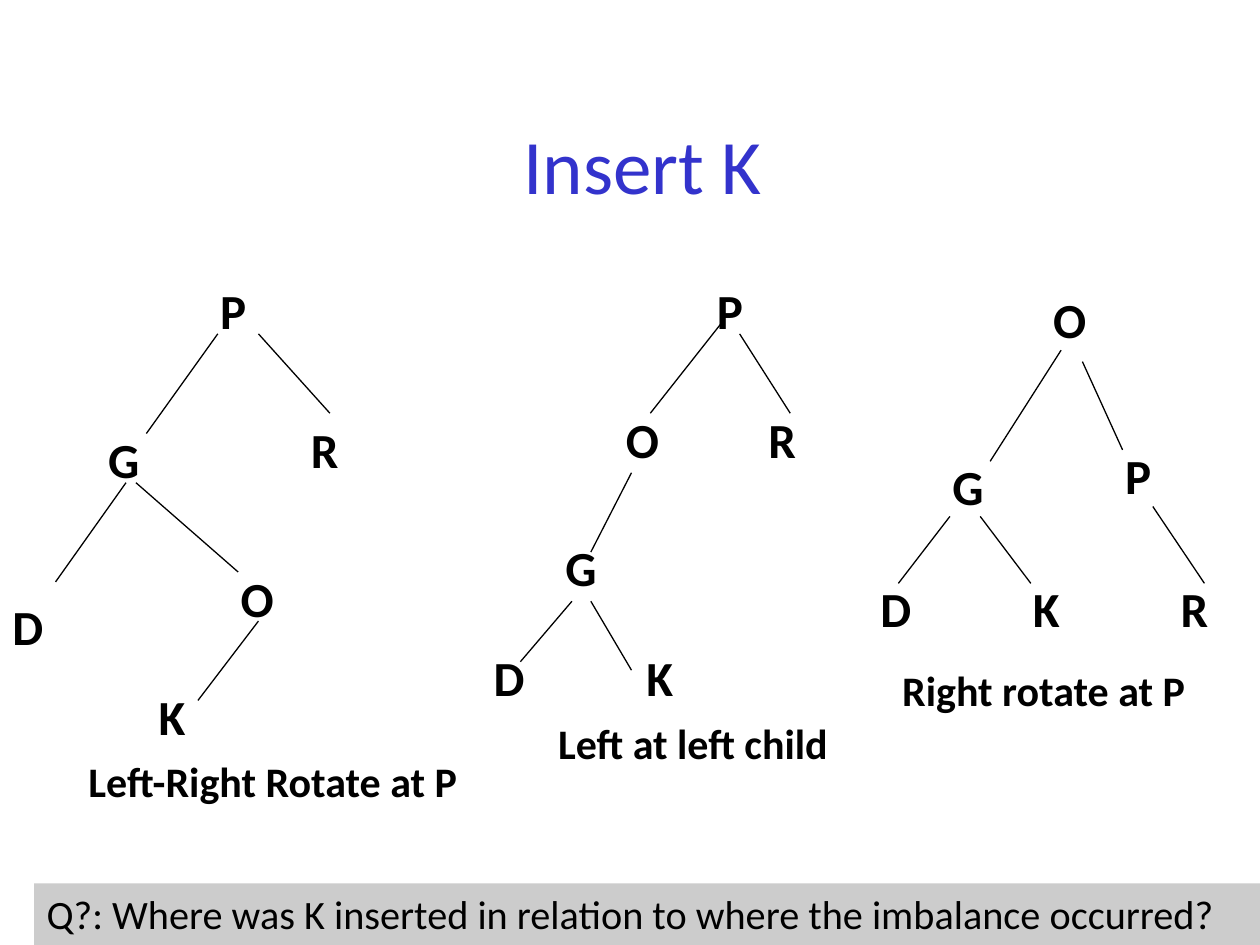
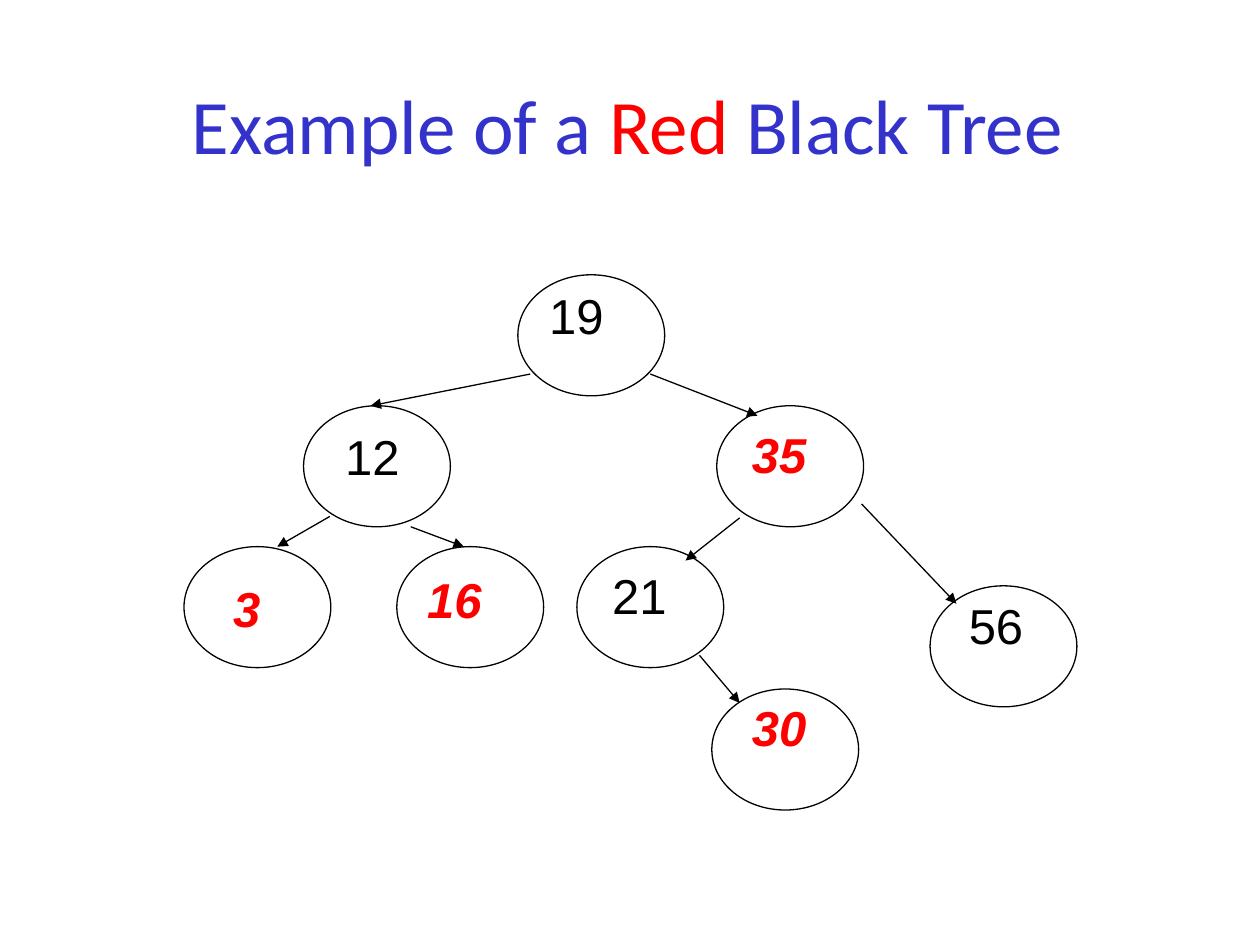
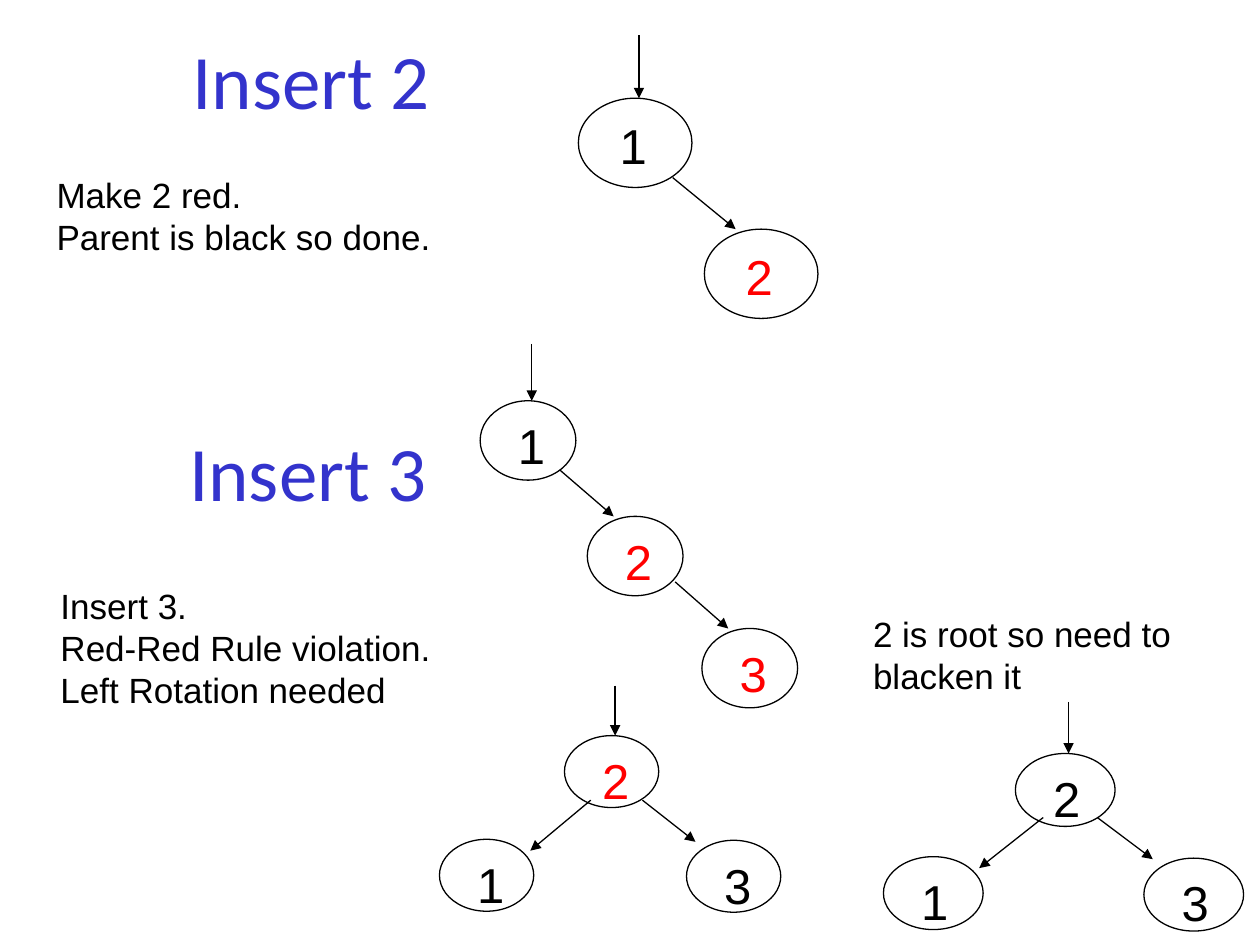
from lxml import etree
from pptx import Presentation
from pptx.dml.color import RGBColor
from pptx.enum.shapes import MSO_CONNECTOR as CONN, MSO_SHAPE as SHAPE
from pptx.enum.text import MSO_ANCHOR as ANCHOR, PP_ALIGN as ALIGN
from pptx.oxml.ns import qn
from pptx.util import Cm, Pt

BLUE = RGBColor(0x33, 0x33, 0xCC)
RED = RGBColor(0xFF, 0x00, 0x00)
BLACK = RGBColor(0x00, 0x00, 0x00)
GRAY = RGBColor(0xCC, 0xCC, 0xCC)
HEAD_FONT = "Calibri"
NODE_FONT = "Arial"
TITLE_ONLY = 5


def format_text(tf, font, size, color, bold=False, italic=False, align=ALIGN.LEFT,
                anchor=ANCHOR.TOP):
    tf.word_wrap = True
    tf.vertical_anchor = anchor
    for p in tf.paragraphs:
        p.alignment = align
        for r in p.runs:
            r.font.name = font
            r.font.size = Pt(size)
            r.font.bold = bold
            r.font.italic = italic
            r.font.color.rgb = color


def add_text(slide, text, x, y, w, h, *style, **options):
    tf = slide.shapes.add_textbox(Cm(x), Cm(y), Cm(w), Cm(h)).text_frame
    tf.text = text
    format_text(tf, *style, **options)


def format_heading(tf):
    format_text(tf, HEAD_FONT, 44, BLUE, align=ALIGN.CENTER, anchor=ANCHOR.MIDDLE)


def add_titled_slide(prs, parts, x, y, w, h=3.18):
    """Add a slide whose title is made of one run per part."""
    slide = prs.slides.add_slide(prs.slide_layouts[TITLE_ONLY])
    title = slide.shapes.title
    title.left, title.top, title.width, title.height = Cm(x), Cm(y), Cm(w), Cm(h)
    p = title.text_frame.paragraphs[0]
    for part in parts:
        p.add_run().text = part
    format_heading(title.text_frame)
    return slide


def add_edges(slide, edges, arrow=False):
    for x1, y1, x2, y2 in edges:
        edge = slide.shapes.add_connector(CONN.STRAIGHT, Cm(x1), Cm(y1), Cm(x2), Cm(y2))
        edge.line.color.rgb = BLACK
        edge.line.width = Pt(0.75)
        if arrow:
            etree.SubElement(edge.line._get_or_add_ln(), qn("a:tailEnd"), type="triangle")
        etree.SubElement(edge._element.spPr, qn("a:effectLst"))


def add_ellipse(slide, x, y, w, h):
    sp = slide.shapes.add_shape(SHAPE.OVAL, Cm(x), Cm(y), Cm(w), Cm(h))
    sp.shadow.inherit = False
    sp.fill.background()
    sp.line.color.rgb = BLACK
    sp.line.width = Pt(0.75)


def add_letter_tree(slide, nodes, edges, caption, x, y, w):
    for letter, left, top in nodes:
        add_text(slide, letter, left, top, 1.42, 1.45, HEAD_FONT, 28, BLACK, bold=True)
    add_edges(slide, edges)
    add_text(slide, caption, x, y, w, 1.27, HEAD_FONT, 24, BLACK, bold=True,
             align=ALIGN.CENTER)


def add_number_tree(slide, size, offset, nodes, arrows):
    """Draw ellipses of one size, each with its number at the same offset."""
    for number, x, y, color in nodes:
        add_ellipse(slide, x, y, *size)
        add_text(slide, number, x + offset[0], y + offset[1], 1.07, 1.27,
                 NODE_FONT, 28, color)
    add_edges(slide, arrows, arrow=True)


def add_note(slide, text, x, y, w, h):
    add_text(slide, text, x, y, w, h, NODE_FONT, 20, BLACK)


def add_question_bar(slide, text):
    bar = slide.shapes.add_shape(SHAPE.RECTANGLE, Cm(0.69), Cm(17.81), Cm(24.71), Cm(1.24))
    bar.shadow.inherit = False
    bar.fill.solid()
    bar.fill.fore_color.rgb = GRAY
    bar.line.fill.background()
    bar.text_frame.text = text
    format_text(bar.text_frame, HEAD_FONT, 23, BLACK)


def build_rotation_slide(prs):
    slide = add_titled_slide(prs, ["Insert K"], 1.9, 1.7, 22.12)
    add_letter_tree(
        slide,
        [("P", 4.19, 5.54), ("G", 1.93, 8.53), ("R", 6.02, 8.33),
         ("D", 0, 11.91), ("O", 4.6, 11.33), ("K", 2.95, 13.72)],
        [(4.39, 6.73, 2.95, 8.74), (5.21, 6.73, 6.65, 8.33), (2.54, 9.73, 1.12, 11.73),
         (2.74, 9.73, 4.8, 11.53), (5.21, 12.52, 3.99, 14.12)],
        "Left-Right Rotate at P", 0.89, 15.11, 9.22)
    add_letter_tree(
        slide,
        [("P", 14.2, 5.54), ("O", 12.37, 8.13), ("R", 15.24, 8.13),
         ("G", 11.15, 10.72), ("D", 9.7, 12.93), ("K", 12.78, 12.93)],
        [(14.53, 6.53, 13.11, 8.33), (14.91, 6.73, 15.93, 8.33),
         (12.73, 9.53, 11.91, 11.13), (11.53, 12.12, 10.49, 13.34),
         (11.91, 12.12, 12.73, 13.51)],
        "Left at left child", 10.49, 14.33, 6.96)
    add_letter_tree(
        slide,
        [("O", 20.98, 5.72), ("G", 18.95, 9.07), ("P", 22.43, 8.86),
         ("D", 17.5, 11.53), ("K", 20.57, 11.53), ("R", 23.55, 11.53)],
        [(21.39, 7.06, 19.96, 9.3), (21.82, 7.29, 22.63, 9.07),
         (19.15, 10.41, 18.11, 11.76), (19.76, 10.41, 20.78, 11.76),
         (23.24, 10.21, 24.28, 11.76)],
        "Right rotate at P", 17.6, 13.28, 6.88)
    add_question_bar(
        slide, "Q?: Where was K inserted in relation to where the imbalance occurred?")


def build_example_slide(prs):
    slide = add_titled_slide(prs, ["Example of a ", "Red", " Black Tree"], 1.85, 0.91, 21.59)
    slide.shapes.title.text_frame.paragraphs[0].runs[1].font.color.rgb = RED
    # number, ellipse left and top, label left and top, is red
    nodes = [
        ("19", 10.44, 5.54, 10.82, 5.64, False),
        ("12", 6.12, 8.18, 6.71, 8.48, False),
        ("35", 14.45, 8.18, 14.91, 8.43, True),
        ("3", 3.71, 11.02, 4.45, 11.53, True),
        ("16", 8, 11.02, 8.36, 11.35, True),
        ("21", 11.63, 11.02, 12.09, 11.28, False),
        ("56", 18.75, 11.81, 19.28, 11.89, False),
        ("30", 14.35, 13.89, 14.91, 13.94, True),
    ]
    for number, x, y, label_x, label_y, is_red in nodes:
        add_ellipse(slide, x, y, 2.96, 2.44)
        add_text(slide, number, label_x, label_y, 2.08, 1.96, NODE_FONT, 28,
                 RED if is_red else BLACK, bold=is_red, italic=is_red)
    add_edges(slide, [
        (10.69, 7.54, 7.47, 8.18), (13.11, 7.54, 15.27, 8.38),
        (6.65, 10.41, 5.59, 11.02), (8.28, 10.62, 9.35, 11.02),
        (14.91, 10.44, 13.82, 11.3), (17.37, 10.16, 19.28, 12.17),
        (14.1, 13.21, 14.91, 14.17)], arrow=True)


def build_insertion_slide(prs):
    slide = add_titled_slide(prs, ["Insert 2"], 0.05, 0, 12.45)
    add_note(slide, "Make 2 red.\nParent is black so done.", 0.89, 3.38, 8.86, 1.96)
    add_number_tree(
        slide, (2.29, 1.8), (0.58, 0.23),
        [("1", 11.66, 1.98, BLACK), ("2", 14.2, 4.62, RED)],
        [(12.88, 0.71, 12.88, 1.98), (13.56, 3.58, 14.83, 4.62)])

    heading = slide.shapes.add_textbox(Cm(-0.46), Cm(7.9), Cm(13.34), Cm(3.18))
    heading.text_frame.text = "Insert 3"
    format_heading(heading.text_frame)
    add_note(slide, "Insert 3.\vRed-Red Rule violation.\nLeft Rotation needed",
             0.97, 11.66, 8.3, 2.82)
    add_number_tree(
        slide, (1.93, 1.6), (0.51, 0.18),
        [("1", 9.68, 8.08, BLACK), ("2", 11.84, 10.41, RED), ("3", 14.15, 12.67, RED)],
        [(10.72, 6.93, 10.72, 8.08), (11.28, 9.47, 12.37, 10.41),
         (13.61, 11.73, 14.68, 12.67)])
    add_number_tree(
        slide, (1.9, 1.45), (0.51, 0.18),
        [("2", 11.38, 14.83, RED), ("1", 8.86, 16.92, BLACK), ("3", 13.84, 16.94, BLACK)],
        [(12.4, 13.82, 12.4, 14.83), (11.91, 16.13, 10.69, 17.15),
         (12.95, 16.13, 14.02, 16.97)])

    add_note(slide, "2 is root so need to blacken it", 17.35, 12.22, 8.23, 1.96)
    add_number_tree(
        slide, (2.01, 1.47), (0.51, 0.17),
        [("2", 20.47, 15.19, BLACK), ("1", 17.81, 17.27, BLACK), ("3", 23.06, 17.3, BLACK)],
        [(21.54, 14.15, 21.54, 15.19), (21.03, 16.48, 19.74, 17.5),
         (22.12, 16.48, 23.24, 17.32)])


def main():
    prs = Presentation()
    prs.slide_width, prs.slide_height = Cm(25.4), Cm(19.05)
    build_rotation_slide(prs)
    build_example_slide(prs)
    build_insertion_slide(prs)
    prs.save("out.pptx")


if __name__ == "__main__":
    main()
